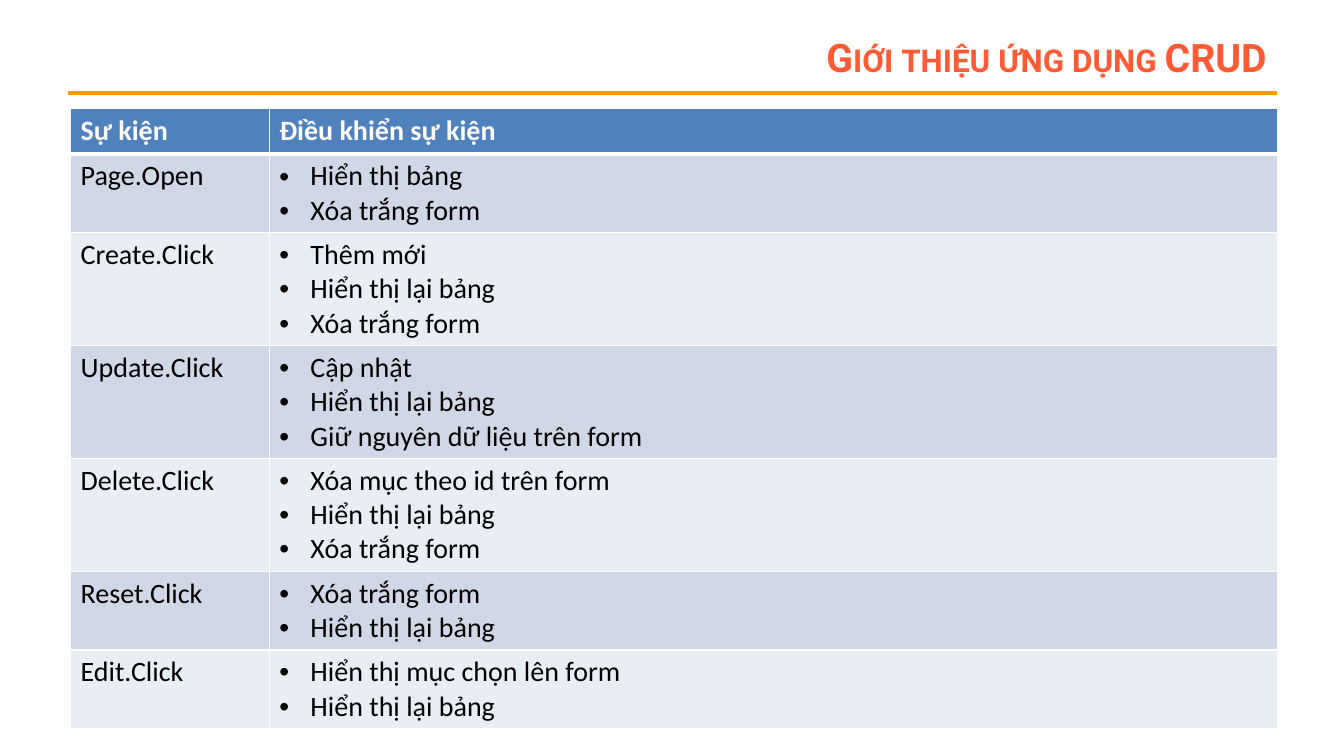
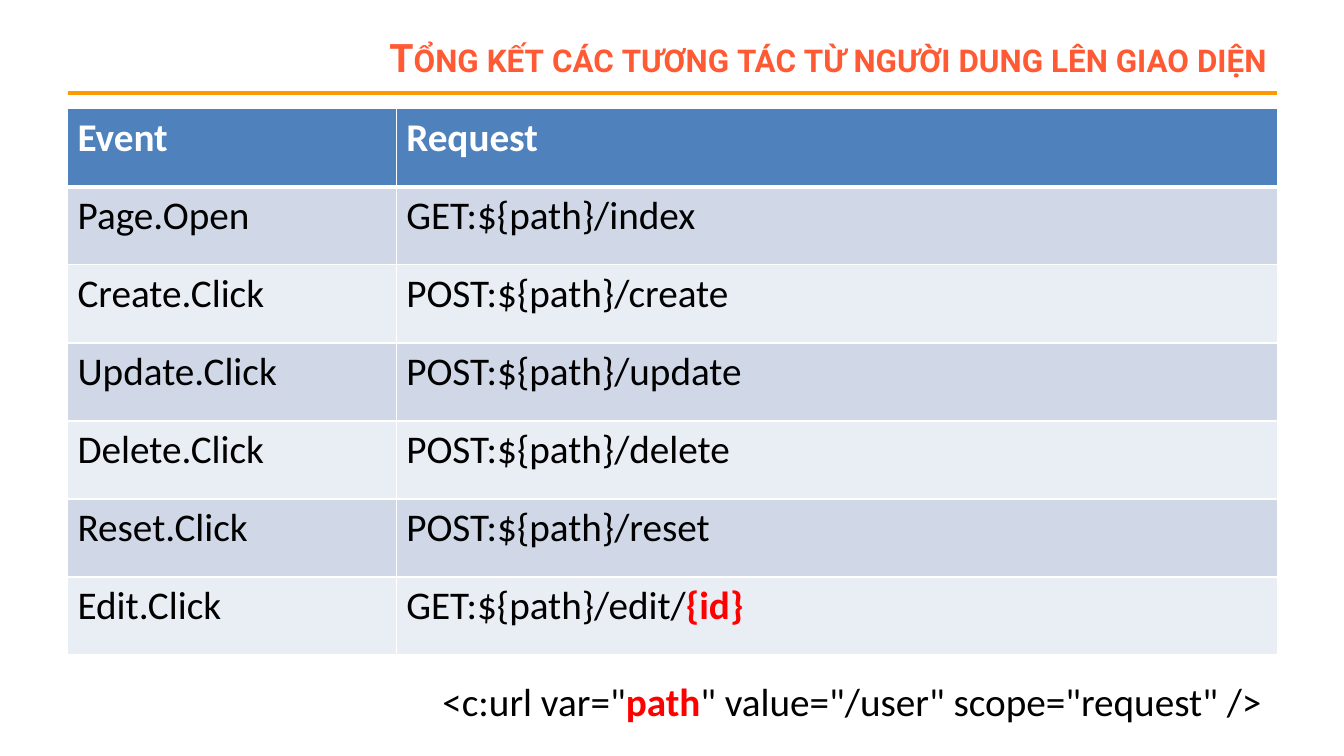
"""Build two slides that tabulate the events and requests of a CRUD application."""
from dataclasses import dataclass

from lxml.etree import SubElement
from pptx import Presentation
from pptx.dml.color import RGBColor
from pptx.enum.shapes import MSO_CONNECTOR
from pptx.enum.text import MSO_ANCHOR, MSO_AUTO_SIZE, PP_ALIGN
from pptx.oxml.ns import qn
from pptx.util import Inches, Pt


@dataclass(frozen=True)
class Theme:
    accent: str = "FF5A33"
    rule: str = "FF9900"
    head: str = "4F81BD"
    bands: tuple = ("D0D8E8", "E9EDF4")
    white: str = "FFFFFF"
    ink: str = "000000"
    hot: str = "FF0000"
    font: str = "Calibri"
    display: str = "Roboto"
    large: int = 28
    small: int = 20


theme = Theme()


def write(frame, text, size=theme.large, color=theme.ink, font=theme.font,
          bold=False, align=None, caps=False, bullet=False):
    """Fill a frame line by line; parts between bars are highlighted."""
    for i, line in enumerate(text.split("\n")):
        para = frame.paragraphs[0] if i == 0 else frame.add_paragraph()
        para.alignment = align
        if bullet:
            props = para._p.get_or_add_pPr()
            props.set("marL", str(Inches(0.31)))
            props.set("indent", str(-Inches(0.31)))
            SubElement(props, qn("a:buFont"), typeface="Arial")
            SubElement(props, qn("a:buChar"), char="•")
        for j, part in enumerate(line.split("|")):
            hot = j % 2 == 1
            run = para.add_run()
            run.text = part
            run.font.name = font
            run.font.size = Pt(size)
            run.font.bold = bold or hot
            run.font.color.rgb = RGBColor.from_string(theme.hot if hot else color)
            if caps:
                run.font._element.set("cap", "small")


def border(cell, row):
    """Draw white cell edges, with a thick one under the header."""
    props = cell._tc.get_or_add_tcPr()
    thick = {0: "lnB", 1: "lnT"}.get(row)
    for side in ("lnL", "lnR", "lnT", "lnB"):
        width = Pt(3 if side == thick else 1)
        edge = SubElement(props, qn(f"a:{side}"), w=str(width))
        fill = SubElement(edge, qn("a:solidFill"))
        SubElement(fill, qn("a:srgbClr"), val=theme.white)


events = ["Page.Open", "Create.Click", "Update.Click",
          "Delete.Click", "Reset.Click", "Edit.Click"]
actions = [
    "Hiển thị bảng\nXóa trắng form",
    "Thêm mới\nHiển thị lại bảng\nXóa trắng form",
    "Cập nhật\nHiển thị lại bảng\nGiữ nguyên dữ liệu trên form",
    "Xóa mục theo id trên form\nHiển thị lại bảng\nXóa trắng form",
    "Xóa trắng form\nHiển thị lại bảng",
    "Hiển thị mục chọn lên form\nHiển thị lại bảng",
]
requests = ["GET:${path}/index", "POST:${path}/create", "POST:${path}/update",
            "POST:${path}/delete", "POST:${path}/reset", "GET:${path}/edit/|{id}|"]

pages = [
    dict(title="Giới thiệu ứng dụng CRUD", left=0.7, cols=(1.97, 10),
         heads=("Sự kiện", "Điều khiển sự kiện"), body=actions,
         size=theme.small, bullet=True,
         rows=[0.45] + [0.1 + 0.34 * len(a.split("\n")) for a in actions]),
    dict(title="Tổng kết các tương tác từ người dung lên giao diện",
         left=0.67, cols=(3.26, 8.74), heads=("Event", "Request"),
         body=requests, size=theme.large, bullet=False, rows=[5.42 / 7] * 7),
]

deck = Presentation()
deck.slide_width, deck.slide_height = Inches(13.33), Inches(7.5)

for page in pages:
    slide = deck.slides.add_slide(deck.slide_layouts[6])

    rule = slide.shapes.add_connector(
        MSO_CONNECTOR.STRAIGHT, Inches(0.67), Inches(0.92), Inches(12.67), Inches(0.92))
    rule.line.color.rgb = RGBColor.from_string(theme.rule)
    rule.line.width = Pt(3)
    SubElement(rule._element.spPr, qn("a:effectLst"))

    title = slide.shapes.add_textbox(
        Inches(2.44), Inches(0.3), Inches(10.22), Inches(0.53)).text_frame
    title.word_wrap = True
    title.vertical_anchor = MSO_ANCHOR.MIDDLE
    write(title, page["title"], color=theme.accent, font=theme.display,
          bold=True, align=PP_ALIGN.RIGHT, caps=True)

    data = [page["heads"], *zip(events, page["body"])]
    table = slide.shapes.add_table(
        len(data), 2, Inches(page["left"]), Inches(1.08),
        Inches(sum(page["cols"])), Inches(sum(page["rows"]))).table
    for col, width in zip(table.columns, page["cols"]):
        col.width = Inches(width)
    for r, (texts, height) in enumerate(zip(data, page["rows"])):
        table.rows[r].height = Inches(height)
        head = r == 0
        for c, text in enumerate(texts):
            cell = table.cell(r, c)
            border(cell, r)
            cell.fill.solid()
            cell.fill.fore_color.rgb = RGBColor.from_string(
                theme.head if head else theme.bands[(r - 1) % 2])
            write(cell.text_frame, text, size=page["size"], bold=head,
                  color=theme.white if head else theme.ink,
                  bullet=page["bullet"] and c == 1 and not head)

code = slide.shapes.add_textbox(
    Inches(4.29), Inches(6.67), Inches(8.37), Inches(0.57)).text_frame
code.word_wrap = False
code.auto_size = MSO_AUTO_SIZE.SHAPE_TO_FIT_TEXT
write(code, '<c:url var="|path|" value="/user" scope="request" />')

deck.save("out.pptx")
